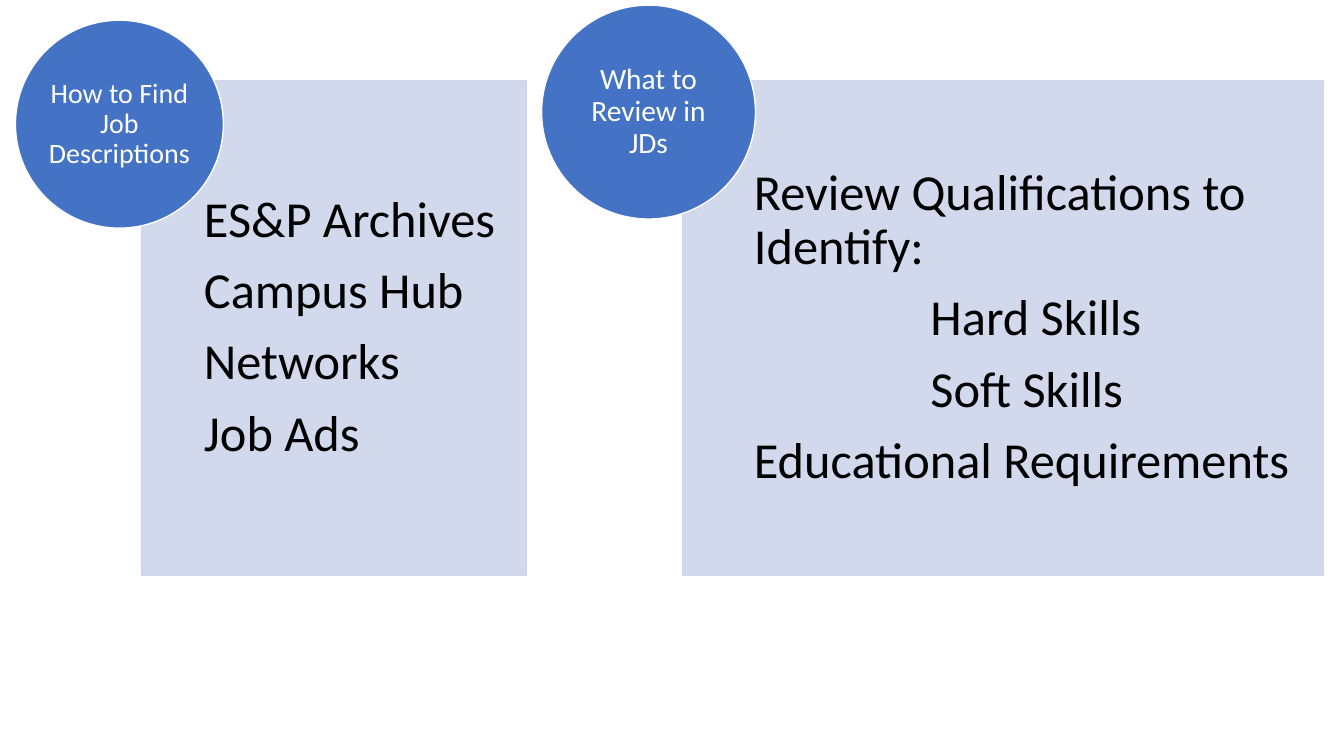
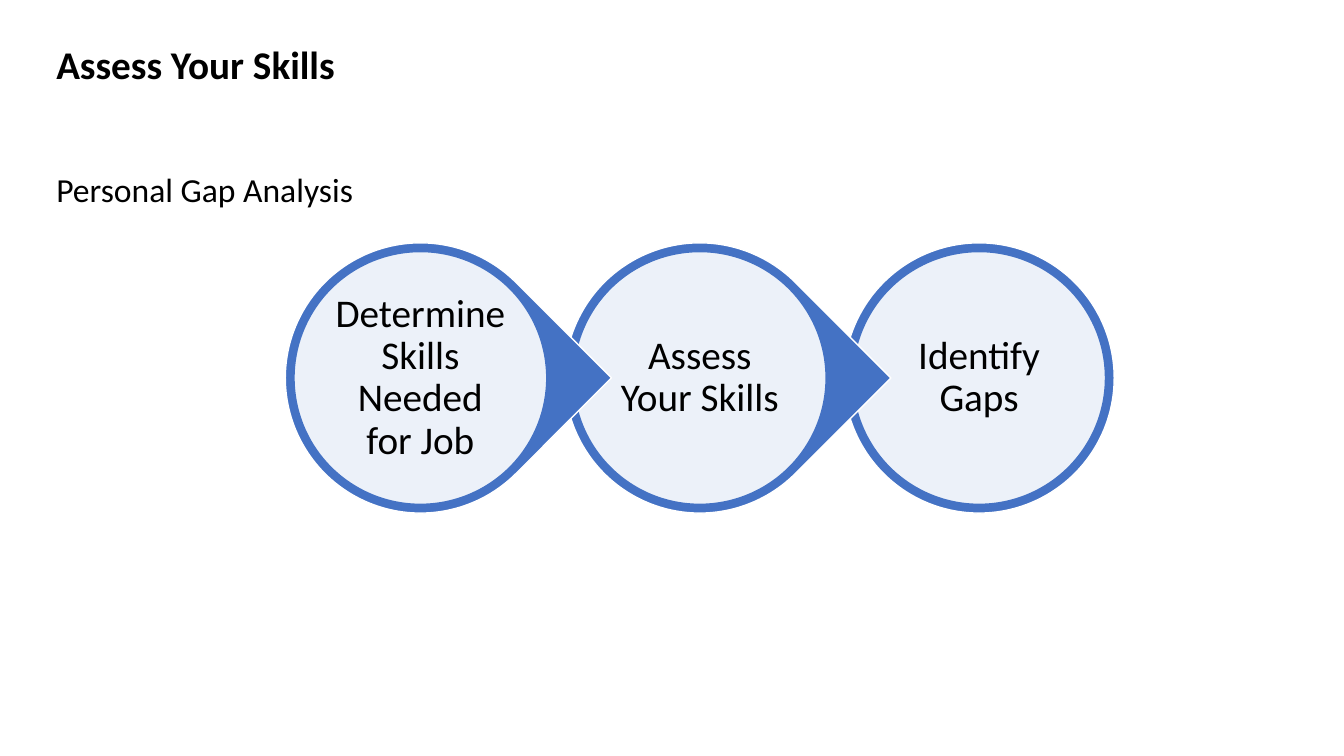
from dataclasses import dataclass

import pptx
import pptx.dml.color
import pptx.enum.shapes
import pptx.enum.text
import pptx.oxml
import pptx.oxml.ns
import pptx.util
from pptx.dml.color import RGBColor
from pptx.util import Cm

BLUE = RGBColor(0x44, 0x72, 0xC4)
PALE_BLUE = RGBColor(0xCF, 0xD5, 0xEA)
WHITE = RGBColor(0xFF, 0xFF, 0xFF)
BLACK = RGBColor(0x00, 0x00, 0x00)
FONT = "Calibri"
SHAPES = pptx.enum.shapes.MSO_SHAPE
ALIGN = pptx.enum.text.PP_ALIGN

PANEL_TOP, PANEL_HEIGHT = 2.03, 12.47
PANEL_INSET = 0.71
HARD_INDENT = 4.45

STEP_LEFT, STEP_TOP, STEP_PITCH = 7.19, 6.12, 7.04
STEP_SIZE, RING_WIDTH = 6.81, 0.22
STEPS = ["Determine Skills Needed for Job", "Assess Your Skills", "Identify Gaps"]


@dataclass(frozen=True)
class Topic:
    """A panel of lines with a round heading; lengths in centimetres."""
    heading: str
    heading_size: int
    circle_left: float
    circle_top: float
    diameter: float
    panel_left: float
    panel_width: float
    text_inset: float
    lines: tuple[str, ...]
    indented: tuple[str, ...] = ()


TOPICS = [
    Topic("How to Find Job Descriptions", 20, 0.39, 0.51, 5.24, 3.58, 9.69, 1.56,
          ("ES&P Archives", "Campus Hub", "Networks", "Job Ads")),
    Topic("What to Review in JDs", 21, 13.65, 0.13, 5.39, 17.2, 16.15, 1.8,
          ("Review Qualifications to Identify:", "Hard Skills", "Soft Skills",
           "Educational Requirements"),
          ("Hard Skills", "Soft Skills")),
]


def add_filled(slide, kind, left: float, top: float, width: float, height: float,
               fill: RGBColor, line: RGBColor):
    shape = slide.shapes.add_shape(kind, Cm(left), Cm(top), Cm(width), Cm(height))
    shape.shadow.inherit = False
    shape.fill.solid()
    shape.fill.fore_color.rgb = fill
    shape.line.color.rgb = line
    shape.line.width = pptx.util.Pt(1)
    return shape


def make_translucent(shape, percent: int) -> None:
    """Set the opacity of the shape's fill."""
    color = shape.fill._xPr.find(".//" + pptx.oxml.ns.qn("a:srgbClr"))
    color.append(pptx.oxml.parse_xml(
        f'<a:alpha {pptx.oxml.ns.nsdecls("a")} val="{percent * 1000}"/>'))


def write_lines(shape, lines: tuple[str, ...], size: int, color: RGBColor,
                alignment, insets: tuple[float, float, float, float],
                indented: tuple[str, ...] = ()) -> None:
    """Fill a shape with middle-anchored lines; insets run left, top, right, bottom."""
    frame = shape.text_frame
    frame.word_wrap = True
    frame.vertical_anchor = pptx.enum.text.MSO_ANCHOR.MIDDLE
    (frame.margin_left, frame.margin_top,
     frame.margin_right, frame.margin_bottom) = map(Cm, insets)
    frame.text = "\n".join(lines)
    for paragraph in frame.paragraphs:
        if paragraph.text in indented:
            paragraph._p.get_or_add_pPr().set("marL", str(Cm(HARD_INDENT)))
        paragraph.alignment = alignment
        paragraph.line_spacing = 0.9
        paragraph.space_after = pptx.util.Pt(size / 3)
        style_font(paragraph, size, color)


def style_font(paragraph, size: int, color: RGBColor, bold: bool = False) -> None:
    font = paragraph.font
    font.name, font.size, font.bold = FONT, pptx.util.Pt(size), bold
    font.color.rgb = color


def add_topic(slide, topic: Topic) -> None:
    panel = add_filled(slide, SHAPES.RECTANGLE, topic.panel_left, PANEL_TOP,
                       topic.panel_width, PANEL_HEIGHT, PALE_BLUE, PALE_BLUE)
    make_translucent(panel, 90)
    write_lines(panel, topic.lines, 36, BLACK, ALIGN.LEFT,
                (topic.text_inset, PANEL_INSET, PANEL_INSET, PANEL_INSET), topic.indented)
    circle = add_filled(slide, SHAPES.OVAL, topic.circle_left, topic.circle_top,
                        topic.diameter, topic.diameter, BLUE, WHITE)
    write_lines(circle, (topic.heading,), topic.heading_size, WHITE, ALIGN.CENTER,
                (0, 0, 0, 0))


def add_step(slide, index: int) -> None:
    """Draw a ringed step, pointing right unless it is the last."""
    left = STEP_LEFT + index * STEP_PITCH
    is_last = index == len(STEPS) - 1
    ring = add_filled(slide, SHAPES.OVAL if is_last else SHAPES.TEAR,
                      left, STEP_TOP, STEP_SIZE, STEP_SIZE, BLUE, WHITE)
    if not is_last:
        ring.rotation = 45
    inner_size = STEP_SIZE - 2 * RING_WIDTH
    disc = add_filled(slide, SHAPES.OVAL, left + RING_WIDTH, STEP_TOP + RING_WIDTH,
                      inner_size, inner_size, WHITE, BLUE)
    make_translucent(disc, 90)
    write_lines(disc, (STEPS[index],), 28, BLACK, ALIGN.CENTER, (0.05, 0.1, 0.05, 0.1))


def add_title(slide, title: str, subtitle: str) -> None:
    box = slide.shapes.add_textbox(Cm(1.17), Cm(0.89), Cm(24.61), Cm(4.52))
    frame = box.text_frame
    frame.word_wrap = True
    frame.text = f"{title}\n{subtitle}"
    heading, subheading = frame.paragraphs
    style_font(heading, 28, BLACK, bold=True)
    style_font(subheading, 24, BLACK)
    subheading.space_before = pptx.util.Pt(58)


def main() -> None:
    presentation = pptx.Presentation()
    presentation.slide_width, presentation.slide_height = Cm(33.87), Cm(19.05)
    blank = presentation.slide_layouts[6]

    descriptions_slide = presentation.slides.add_slide(blank)
    for topic in TOPICS:
        add_topic(descriptions_slide, topic)

    skills_slide = presentation.slides.add_slide(blank)
    add_title(skills_slide, "Assess Your Skills", "Personal Gap Analysis")
    for index in reversed(range(len(STEPS))):
        add_step(skills_slide, index)

    presentation.save("out.pptx")


if __name__ == "__main__":
    main()
